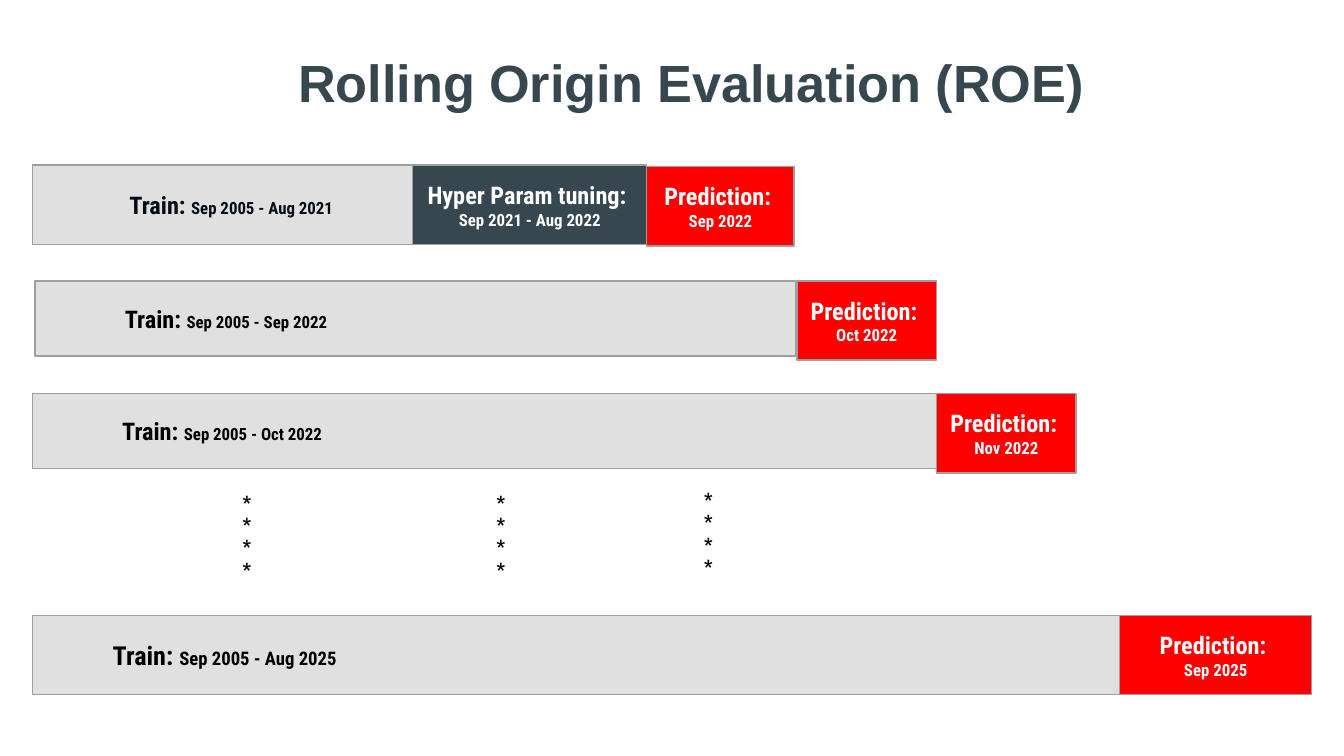
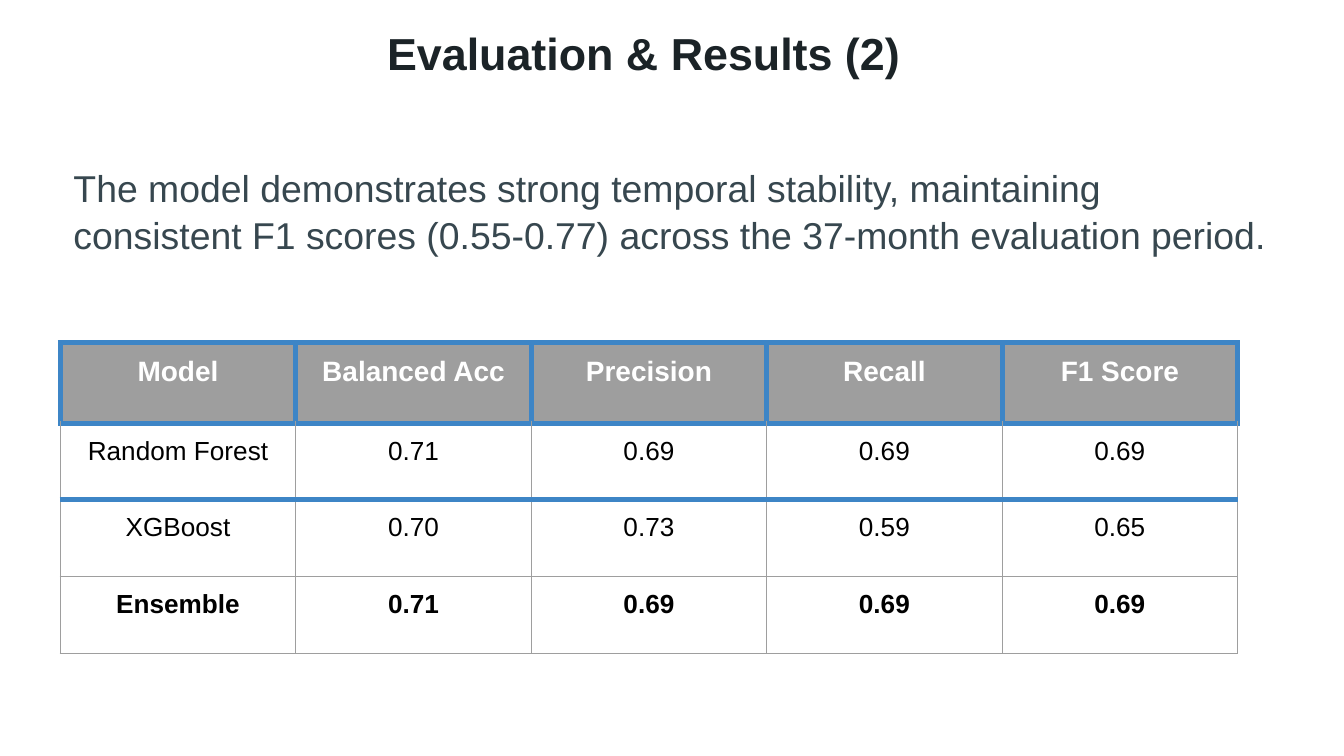
from itertools import product
from lxml.etree import SubElement
from pptx import Presentation
from pptx.dml.color import RGBColor
from pptx.enum.shapes import MSO_SHAPE
from pptx.enum.text import MSO_ANCHOR, PP_ALIGN
from pptx.oxml.ns import qn
from pptx.util import Cm, Pt

HUES = {
    "slate": "37474F", "dark": "1B2327", "navy": "030A18", "black": "000000",
    "white": "FFFFFF", "pale": "E0E0E0", "grey": "9E9E9E", "red": "FF0000",
    "blue": "3D85C6",
}
BODY = "Arial"
NARROW = "Roboto Condensed"
PAD = 0.25
LEAD = 1.05

ROE = "Rolling Origin Evaluation (ROE)"
TRAINS = [
    ("Sep 2005 - Aug 2021", (0.61, 3.12, 7.52, 1.5), "navy", None, 13),
    ("Sep 2005 - Sep 2022", (0.66, 5.31, 14.38, 1.42), "black", 1.45, 13),
    ("Sep 2005 - Oct 2022", (0.61, 7.44, 17.22, 1.42), "black", 1.45, 13),
    ("Sep 2005 - Aug 2025", (0.61, 11.63, 20.55, 1.5), "black", 1.27, 14),
]
STEPS = [
    ("Hyper Param tuning: ", "Sep 2021 - Aug 2022", (7.8, 3.12, 4.42, 1.5), "slate"),
    ("Prediction: ", "Sep 2022", (12.22, 3.15, 2.79, 1.5), "red"),
    ("Prediction: ", "Oct 2022", (15.06, 5.31, 2.64, 1.5), "red"),
    ("Prediction: ", "Nov 2022", (17.7, 7.44, 2.64, 1.5), "red"),
    ("Prediction: ", "Sep 2025", (21.16, 11.63, 3.63, 1.5), "red"),
]
STARS = [(3.05, 9.02, 3.23), (7.85, 9.02, 3.23), (11.99, 8.97, 2.79)]

RESULTS = "Evaluation & Results (2) "
CLAIM = ("The model demonstrates strong temporal stability, maintaining "
         "consistent F1 scores (0.55-0.77) across the 37-month evaluation period.")
SCORES = [
    ("Model", "Balanced Acc", "Precision", "Recall", "F1 Score"),
    ("Random Forest", "0.71", "0.69", "0.69", "0.69"),
    ("XGBoost", "0.70", "0.73", "0.59", "0.65"),
    ("Ensemble", "0.71", "0.69", "0.69", "0.69"),
]
ROWS = [1.52, 1.45, 1.45, 1.45]
WIDE = 4.45


def rgb(name):
    return RGBColor.from_string(HUES[name])


def style(item, size, hue, bold=True, face=NARROW):
    font = item.font
    font.name, font.size, font.bold = face, Pt(size), bold
    font.color.rgb = rgb(hue)


def inset(part):
    part.margin_left = part.margin_right = Cm(PAD)
    part.margin_top = part.margin_bottom = Cm(PAD)


def place(shape, box):
    shape.left, shape.top, shape.width, shape.height = map(Cm, box)


def frame(shape, anchor=MSO_ANCHOR.TOP):
    text = shape.text_frame
    text.word_wrap = True
    text.vertical_anchor = anchor
    inset(text)
    return text


def page(deck, title, box, size, hue):
    slide = deck.slides.add_slide(deck.slide_layouts[5])
    head = slide.shapes.title
    place(head, box)
    para = frame(head).paragraphs[0]
    para.text = title
    para.alignment = PP_ALIGN.CENTER
    para.line_spacing = LEAD
    style(para, size, hue, face=BODY)
    return slide


def bar(shapes, box, hue):
    shape = shapes.add_shape(MSO_SHAPE.RECTANGLE, *map(Cm, box))
    shape.shadow.inherit = False
    shape.fill.solid()
    shape.fill.fore_color.rgb = rgb(hue)
    shape.line.color.rgb = rgb("grey")
    shape.line.width = Pt(0.75)
    return frame(shape, MSO_ANCHOR.MIDDLE)


def train(shapes, dates, box, hue, indent, size):
    para = bar(shapes, box, "pale").paragraphs[0]
    para.alignment = PP_ALIGN.LEFT if indent else PP_ALIGN.CENTER
    if indent:
        props = para._p.get_or_add_pPr()
        props.set("marL", str(Cm(indent)))
        props.set("indent", "0")
    for words, high in (("Train: ", size), (dates, size - 4)):
        run = para.add_run()
        run.text = words
        style(run, high, hue)


def step(shapes, label, dates, box, hue):
    text = bar(shapes, box, hue)
    text.text = f"{label}\n{dates}"
    for para, size in zip(text.paragraphs, (13, 9)):
        para.alignment = PP_ALIGN.CENTER
        style(para, size, "white")


def star(shapes, left, top, width):
    text = frame(shapes.add_textbox(Cm(left), Cm(top), Cm(width), Cm(2.44)))
    text.text = "\n".join("*" * 4)
    for para in text.paragraphs:
        para.alignment = PP_ALIGN.CENTER
        style(para, 10, "navy", face="Roboto")


def edge(cell, side, hue, width):
    line = SubElement(cell._tc.get_or_add_tcPr(), qn(f"a:ln{side}"), w=str(Pt(width)))
    fill = SubElement(line, qn("a:solidFill"))
    SubElement(fill, qn("a:srgbClr"), val=HUES[hue])


def grid(shapes):
    count = len(SCORES[0])
    table = shapes.add_table(len(SCORES), count, Cm(1.14), Cm(6.48),
                             Cm(WIDE * count), Cm(sum(ROWS))).table
    table.first_row = table.horz_banding = False
    for col in table.columns:
        col.width = Cm(WIDE)
    for row, high in zip(table.rows, ROWS):
        row.height = Cm(high)
    for r, c in product(range(len(SCORES)), range(count)):
        cell = table.cell(r, c)
        inset(cell)
        thick = {0: "LRTB", 1: "TB", 2: "T"}.get(r, "")
        for side in "LRTB":
            edge(cell, side, *(("blue", 3) if side in thick else ("grey", 0.75)))
        if r:
            cell.fill.background()
        else:
            cell.fill.solid()
            cell.fill.fore_color.rgb = rgb("grey")
        para = cell.text_frame.paragraphs[0]
        para.text = SCORES[r][c]
        para.alignment = PP_ALIGN.CENTER
        style(para, 14 if r else 15, "black" if r else "white",
              r in (0, len(SCORES) - 1), BODY)


def main():
    deck = Presentation()
    deck.slide_width, deck.slide_height = Cm(25.4), Cm(14.29)

    shapes = page(deck, ROE, (4.17, 0.64, 17.78, 1.93), 28, "slate").shapes
    last = shapes.add_group_shape().shapes
    for item in TRAINS:
        train(last if item is TRAINS[-1] else shapes, *item)
    for item in STEPS:
        step(last if item is STEPS[-1] else shapes, *item)
    for item in STARS:
        star(shapes, *item)

    shapes = page(deck, RESULTS, (4.7, 0.18, 15.16, 1.63), 24, "dark").shapes
    claim = shapes.add_textbox(Cm(1.14), Cm(3.18), Cm(23.11), Cm(1.93))
    para = frame(claim, MSO_ANCHOR.BOTTOM).paragraphs[0]
    para.text = CLAIM
    para.line_spacing = LEAD
    style(para, 20, "slate", False, BODY)
    grid(shapes)

    deck.save("out.pptx")


if __name__ == "__main__":
    main()
